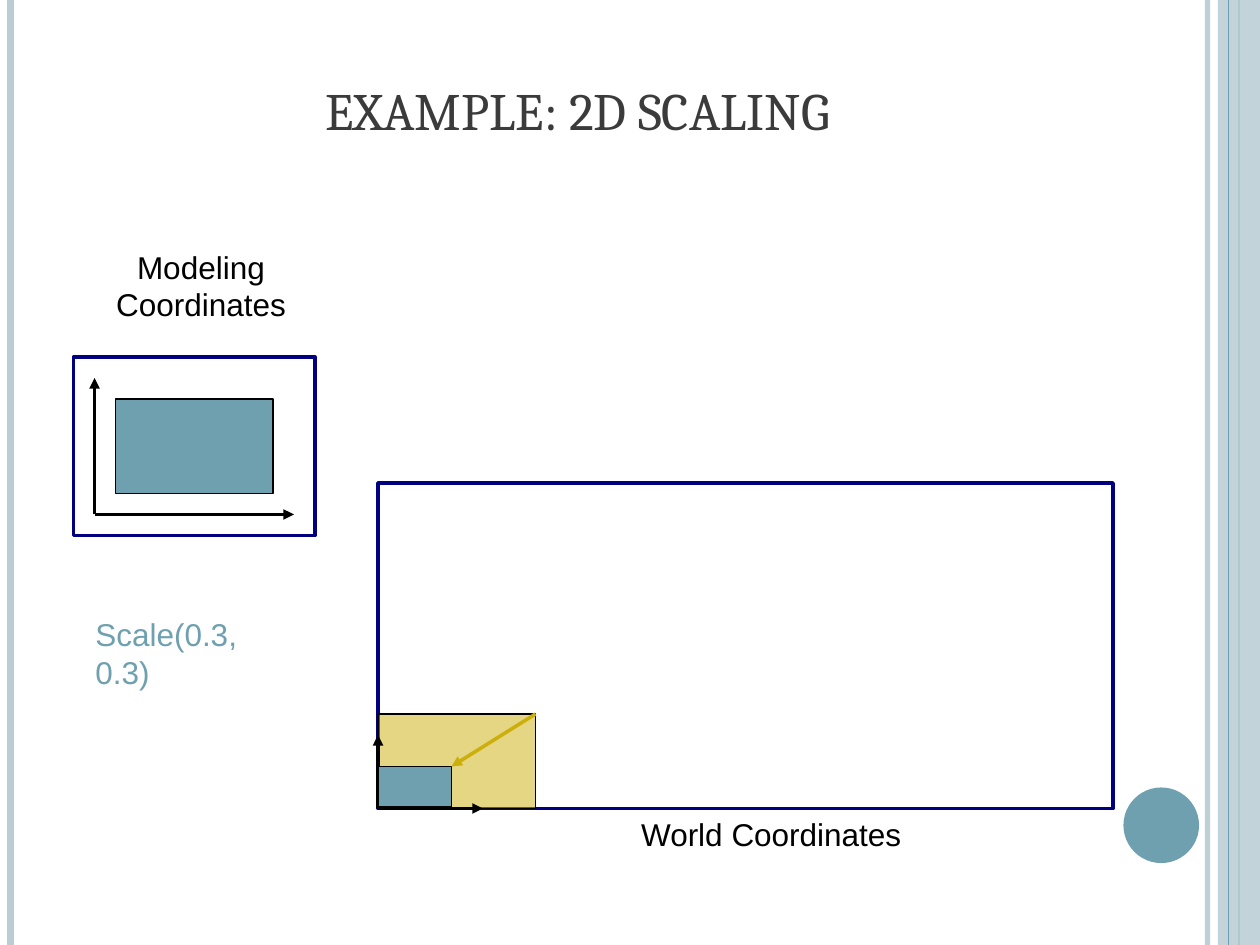
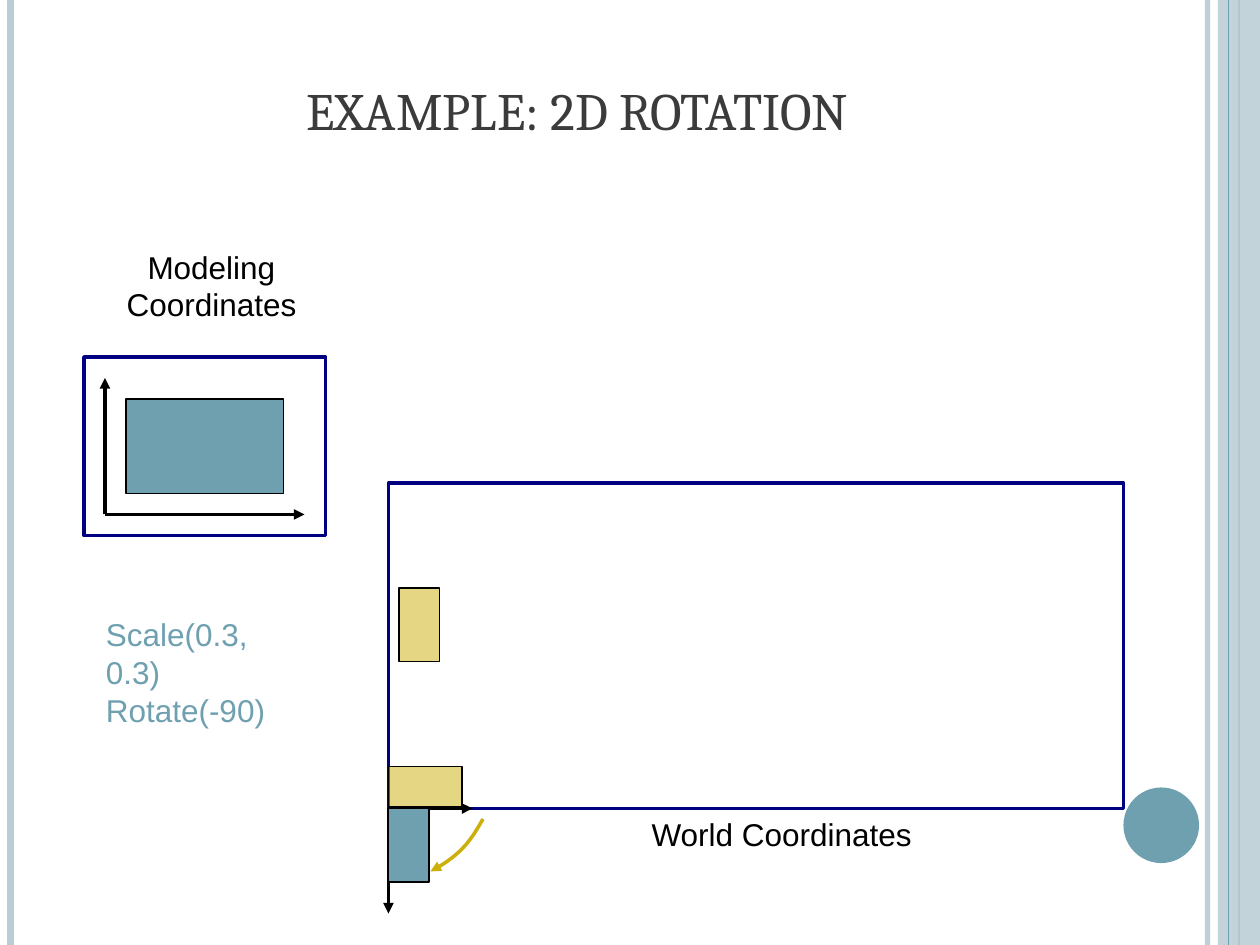
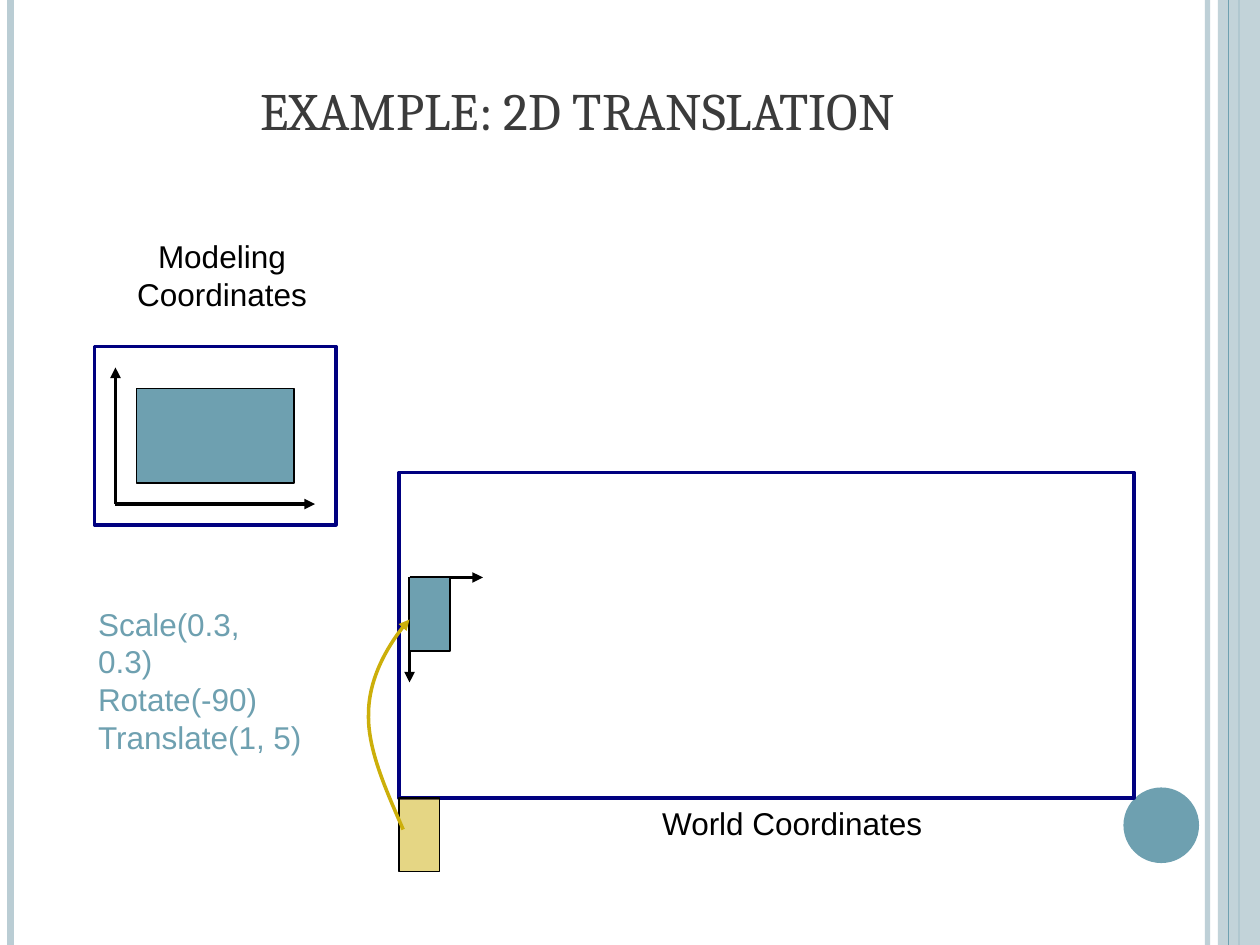
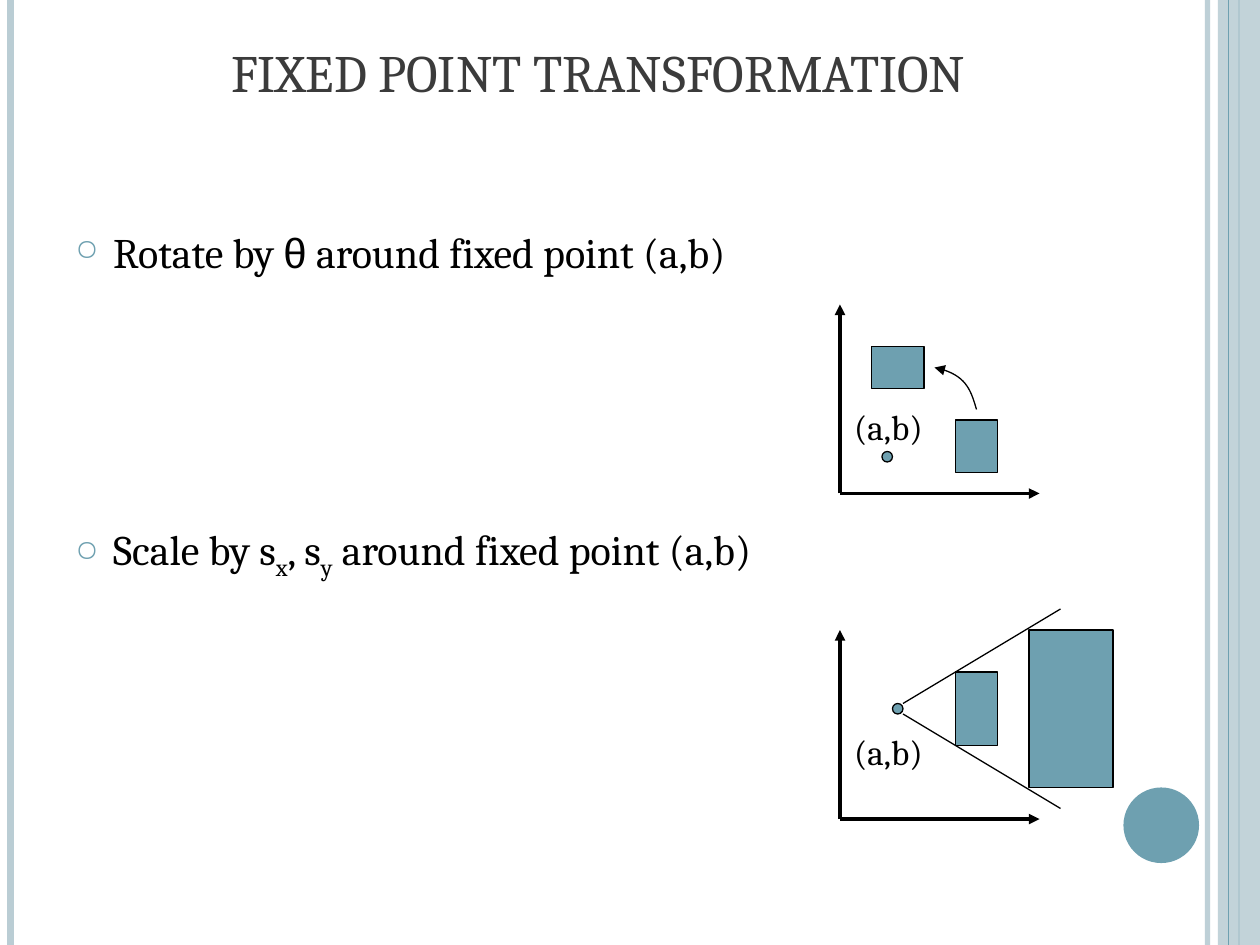
from dataclasses import dataclass

from lxml.etree import SubElement
from pptx import Presentation
from pptx.dml.color import RGBColor as RGB
from pptx.enum.shapes import MSO_CONNECTOR as CONNECTOR, MSO_SHAPE as SHAPE
from pptx.enum.text import MSO_ANCHOR as ANCHOR, PP_ALIGN as ALIGN
from pptx.oxml.ns import qn
from pptx.util import Emu, Inches, Pt


@dataclass(frozen=True)
class Theme:
    teal: str = "6EA0B0"
    pale: str = "BACDD4"
    gold: str = "CCAF0A"
    navy: str = "000080"
    ink: str = "000000"
    title_ink: str = "3B3B3B"
    serif: str = "Cambria"
    sans: str = "Arial"
    title_size: float = 30
    body_size: float = 24
    point_size: float = 20
    label_size: float = 18
    thick: float = 2
    thin: float = 0.75


THEME = Theme()
WIDTH, HEIGHT = Inches(10), Inches(7.5)
COLS, ROWS = 120, 90
SHORT, LONG = 3.85, 7  # sides of the scaled block
TITLE_ONLY = 5


@dataclass
class Board:
    """A slide measured in grid cells from an origin of its own."""
    slide: object
    col: float = 0
    row: float = 0

    def at(self, col, row):
        return (Emu(round((self.col + col) * WIDTH / COLS)),
                Emu(round((self.row + row) * HEIGHT / ROWS)))

    def box(self, col, row, cols, rows):
        return *self.at(col, row), Emu(round(cols * WIDTH / COLS)), Emu(round(rows * HEIGHT / ROWS))


# ---- Formatting ----

def style_line(shape, color, width, arrow=False):
    shape.line.color.rgb = RGB.from_string(color)
    shape.line.width = Pt(width)
    if arrow:
        outline = shape.element.spPr.find(qn("a:ln"))
        SubElement(outline, qn("a:tailEnd"), type="triangle")


def set_opacity(shape, percent):
    color = shape.element.spPr.find(".//" + qn("a:srgbClr"))
    SubElement(color, qn("a:alpha"), val=str(percent * 1000))


def style_font(font, face, size, color):
    font.name, font.size = face, Pt(size)
    font.color.rgb = RGB.from_string(color)


# ---- Elements ----

def add_line(board, start, end, color=THEME.ink, width=THEME.thick, arrow=False):
    line = board.slide.shapes.add_connector(CONNECTOR.STRAIGHT, *board.at(*start), *board.at(*end))
    style_line(line, color, width, arrow)
    SubElement(line.element.spPr, qn("a:effectLst"))
    return line


def add_figure(board, box, fill=THEME.teal, line=THEME.ink, width=THEME.thin,
               kind=SHAPE.RECTANGLE, turned=False):
    """Draw a preset shape in the box it covers; a turned one is rotated by 90 degrees."""
    col, row, cols, rows = box
    if turned:
        col, row, cols, rows = col + (cols - rows) / 2, row + (rows - cols) / 2, rows, cols
    figure = board.slide.shapes.add_shape(kind, *board.box(col, row, cols, rows))
    figure.shadow.inherit = False
    figure.rotation = 90 if turned else 0
    if fill:
        figure.fill.solid()
        figure.fill.fore_color.rgb = RGB.from_string(fill)
    else:
        figure.fill.background()
    if line:
        style_line(figure, line, width)
    else:
        figure.line.fill.background()
    return figure


def add_ghost(board, box, turned=False):
    set_opacity(add_figure(board, box, THEME.gold, turned=turned), 50)


def add_frame(board, box):
    add_figure(board, box, None, THEME.navy, THEME.thick)


def add_axes(board, origin, *ends):
    for end in ends:
        add_line(board, origin, end, arrow=True)


def add_curve(board, points, color, width):
    """Draw a Bezier arrow: a start, then three points for each piece."""
    start, *rest = [board.at(*point) for point in points]
    builder = board.slide.shapes.build_freeform(*start)
    builder.add_line_segments(rest, close=False)
    curve = builder.convert_to_shape()
    curve.shadow.inherit = False
    curve.fill.background()
    style_line(curve, color, width, arrow=True)
    track = curve.element.find(".//" + qn("a:path"))
    corners = track.findall(qn("a:lnTo"))
    for first in range(0, len(corners), 3):
        bend = SubElement(track, qn("a:cubicBezTo"))
        for corner in corners[first:first + 3]:
            bend.append(corner[0])
            track.remove(corner)


def add_label(board, box, text, color=THEME.ink, face=THEME.sans,
              size=THEME.label_size, align=ALIGN.LEFT):
    frame = board.slide.shapes.add_textbox(*board.box(*box)).text_frame
    frame.word_wrap = False
    frame.text = text
    for paragraph in frame.paragraphs:
        paragraph.alignment = align
        style_font(paragraph.font, face, size, color)


def add_title(slide, text, col=6, row=3.6):
    title = slide.shapes.title
    title.left, title.top, title.width, title.height = Board(slide).box(col, row, 98, 10.4)
    frame = title.text_frame
    frame.text = text
    frame.vertical_anchor = ANCHOR.BOTTOM
    frame.paragraphs[0].alignment = ALIGN.CENTER
    style_font(frame.paragraphs[0].runs[0].font, THEME.serif, THEME.title_size, THEME.title_ink)


def add_bullet(paragraph, pieces):
    """Fill a bulleted paragraph from (text, face, baseline) pieces."""
    props = paragraph._p.get_or_add_pPr()
    props.set("marL", str(Inches(0.3)))
    props.set("indent", str(-Inches(0.3)))
    SubElement(SubElement(props, qn("a:buClr")), qn("a:srgbClr"), val=THEME.teal)
    SubElement(props, qn("a:buSzPct"), val="70000")
    SubElement(props, qn("a:buChar"), char="○")
    for text, face, baseline in pieces:
        run = paragraph.add_run()
        run.text = text
        style_font(run.font, face, THEME.body_size, THEME.ink)
        if baseline:
            run.font._element.set("baseline", str(baseline * 1000))


def add_master_bands(prs, slide):
    """Draw the side bands and the disc, then move them to the slide master."""
    board = Board(slide)

    def rule(col, color, width):
        return add_line(board, (col, 0), (col, ROWS), color, width)

    inner = rule(115, THEME.pale, 3)
    set_opacity(inner, 93)
    left = rule(1, THEME.pale, 4.5)
    outer = rule(118, THEME.teal, 1.5)
    band = add_figure(board, (116, 0, 4, ROWS), THEME.pale, None)
    set_opacity(band, 87)
    middle = rule(117, THEME.teal, 0.75)
    disc = add_figure(board, (107, 75, 7.2, 7.2), line=None, kind=SHAPE.OVAL)
    for part in (inner, left, outer, band, middle, disc):
        prs.slide_master.shapes.element.append(part.element)


# ---- Slides ----

def add_example(slide, name, corner, commands, commands_col=-28.1):
    """Lay out both coordinate systems around the world frame's lower left corner."""
    add_title(slide, f"EXAMPLE: 2D {name}")
    board = Board(slide, *corner)
    add_frame(board, (-29, -43, 23, 17))
    add_frame(board, (0, -31, 70, 31))
    add_axes(board, (-27, -28), (-8, -28), (-27, -41))
    add_figure(board, (-25, -39, 15, 9))
    add_label(board, (-26.16, -54, 18.6, 8.4), "Modeling\nCoordinates", align=ALIGN.CENTER)
    add_label(board, (23.88, 0, 27.2, 4.8), "World Coordinates")
    add_label(board, (commands_col, -19, 21.8, 1.2 + 3.6 * len(commands)),
              "\n".join(commands), THEME.teal)
    return board


def draw_scaling(board):
    add_ghost(board, (0, -9, 15, 9))
    add_axes(board, (0, 0), (10, 0), (0, -7))
    add_figure(board, (0, -4, LONG, SHORT))
    add_line(board, (15, -9), (7, -4), THEME.gold, arrow=True)


def draw_rotation(board):
    add_axes(board, (0, 0), (0, 10))
    add_axes(board, (1, 0), (8, 0))
    add_figure(board, (0, 0, SHORT, LONG), turned=True)
    add_curve(board, [(9, 1), (8, 2.8), (6.9, 4.5), (4, 6)], THEME.gold, THEME.thick)
    add_ghost(board, (0, -4, LONG, SHORT))
    add_ghost(board, (1, -21, SHORT, LONG), turned=True)


def draw_translation(board):
    add_axes(board, (1, -21), (1, -11), (8, -21))
    add_figure(board, (1, -21, SHORT, LONG), turned=True)
    add_ghost(board, (0, 0, SHORT, LONG), turned=True)
    add_curve(board, [(0.4, 3), (-1.3, -0.9), (-3, -4.7), (-2.9, -8),
                      (-2.9, -11.3), (-0.7, -15.2), (1, -17)], THEME.gold, THEME.thick)


def add_plot(slide, row, point):
    """Draw a pair of axes with the fixed point and its label."""
    board = Board(slide, 80, row)
    add_axes(board, (0, 0), (19, 0), (0, -18))
    add_figure(board, (*point, 1, 1), kind=SHAPE.OVAL)
    add_label(board, (0.16, -9, 8.9, 5.3), "(a,b)", face=THEME.serif, size=THEME.point_size)
    return board


def draw_fixed_point(slide):
    add_title(slide, "FIXED POINT TRANSFORMATION", 8, 0)
    statements = slide.shapes.add_textbox(*Board(slide).box(6, 21, 98, 64)).text_frame
    statements.word_wrap = True
    ending = (" around fixed point (a,b)", THEME.serif, 0)
    add_bullet(statements.paragraphs[0],
               [("Rotate by ", THEME.serif, 0), ("θ", THEME.sans, 0), ending])
    scale = statements.add_paragraph()
    scale.space_before = Pt(141)
    add_bullet(scale, [("Scale by s", THEME.serif, 0), ("x", THEME.serif, -25),
                       (", s", THEME.serif, 0), ("y", THEME.serif, -25), ending])

    # Rotation about the point
    turning = add_plot(slide, 47, (4, -4))
    add_figure(turning, (11, -7, 4, 5))
    add_figure(turning, (3, -14, 5, 4), turned=True)
    add_curve(turning, [(13, -8), (12.5, -9.7), (12, -11.4), (9, -12)], THEME.ink, THEME.thin)

    # Scaling away from the point
    growing = add_plot(slide, 78, (5, -11))
    add_line(growing, (6, -11), (21, -20), width=THEME.thin)
    add_line(growing, (6, -10), (21, -1), width=THEME.thin)
    add_figure(growing, (11, -14, 4, 7))
    add_figure(growing, (18, -18, 8, 15))


def main():
    prs = Presentation()
    prs.slide_width, prs.slide_height = WIDTH, HEIGHT
    layout = prs.slide_layouts[TITLE_ONLY]
    scaling, rotation, translation, fixed_point = [prs.slides.add_slide(layout) for _ in range(4)]
    add_master_bands(prs, scaling)

    commands = ["Scale(0.3, 0.3)", "Rotate(-90)", "Translate(1, 5)"]
    draw_scaling(add_example(scaling, "SCALING", (36, 77), commands[:1]))
    draw_rotation(add_example(rotation, "ROTATION", (37, 77), commands[:2]))
    draw_translation(add_example(translation, "TRANSLATION", (38, 76), commands, -29.84))
    draw_fixed_point(fixed_point)
    prs.save("out.pptx")


if __name__ == "__main__":
    main()
